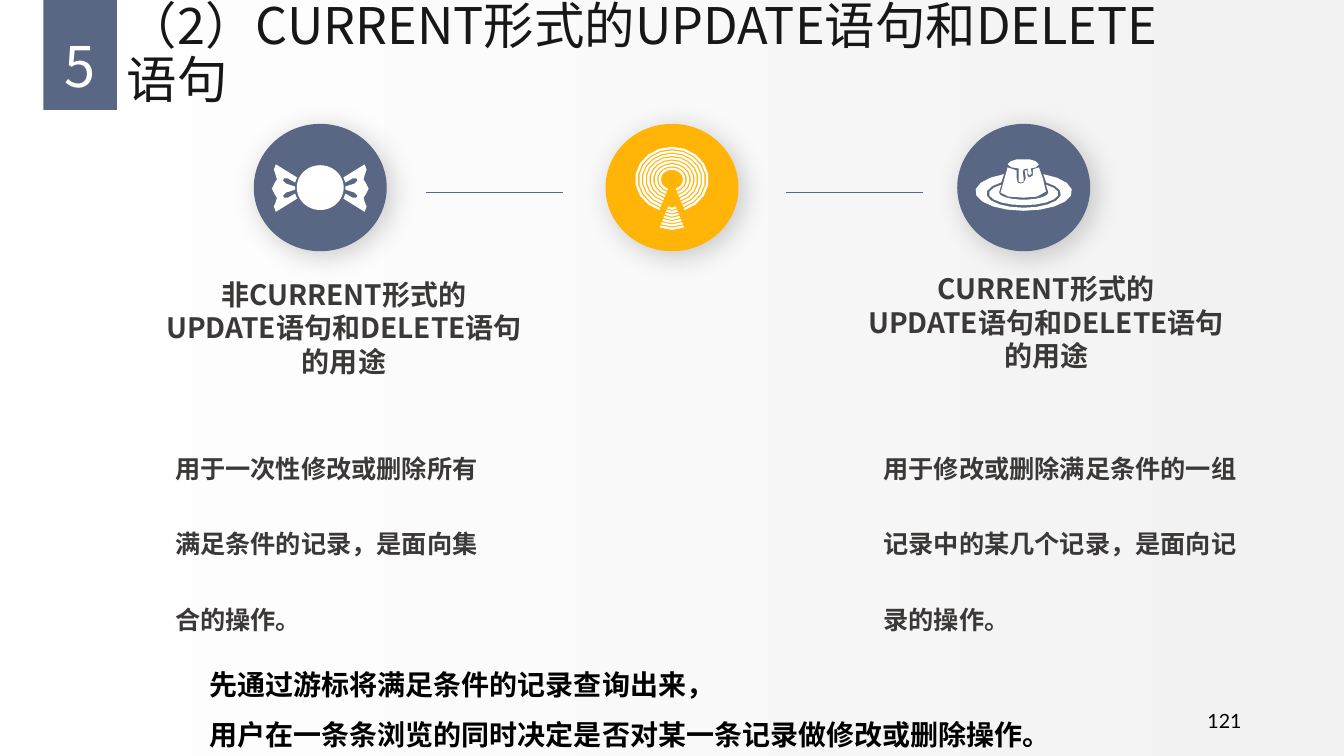
from dataclasses import dataclass
from math import cos, radians, sin

from lxml import etree
from pptx import Presentation
from pptx.dml.color import RGBColor
from pptx.enum.shapes import MSO_CONNECTOR, MSO_SHAPE
from pptx.enum.text import MSO_ANCHOR, MSO_AUTO_SIZE, PP_ALIGN
from pptx.oxml import parse_xml
from pptx.oxml.ns import nsdecls, qn
from pptx.util import Pt

LEFT, CENTER, RIGHT = PP_ALIGN.LEFT, PP_ALIGN.CENTER, PP_ALIGN.RIGHT
TOP, MIDDLE = MSO_ANCHOR.TOP, MSO_ANCHOR.MIDDLE
OVAL, RECTANGLE = MSO_SHAPE.OVAL, MSO_SHAPE.RECTANGLE
STRAIGHT, NO_FIT = MSO_CONNECTOR.STRAIGHT, MSO_AUTO_SIZE.NONE


@dataclass(frozen=True)
class Theme:
    white: RGBColor = RGBColor(0xFF, 0xFF, 0xFF)
    mist: RGBColor = RGBColor(0xF2, 0xF2, 0xF2)
    slate: RGBColor = RGBColor(0x59, 0x67, 0x84)
    amber: RGBColor = RGBColor(0xFF, 0xB4, 0x07)
    ink: RGBColor = RGBColor(0x18, 0x17, 0x17)
    gray: RGBColor = RGBColor(0x3B, 0x38, 0x38)
    black: RGBColor = RGBColor(0, 0, 0)
    cjk: str = "Noto Sans CJK SC"
    latin: str = "Lato"
    chapter: int = 40
    title: int = 36
    heading: int = 20
    body: int = 18
    number: int = 14


theme = Theme()


def write(box, lines, size, color, font=theme.cjk, bold=False, align=LEFT, spacing=1.0, anchor=TOP):
    frame = box.text_frame
    frame.word_wrap = True
    frame.auto_size = NO_FIT
    frame.vertical_anchor = anchor
    frame.text = "\n".join(lines)
    for para in frame.paragraphs:
        para.alignment = align
        para.line_spacing = spacing
        para.space_before = Pt(0)
        para.font.size = Pt(size)
        para.font.bold = bold
        para.font.color.rgb = color
        para.font.name = font
        east_asian = etree.SubElement(para._p.pPr.find(qn("a:defRPr")), qn("a:ea"))
        east_asian.set("typeface", theme.cjk)


def draw_outline(center_x, points):
    spots = [(Pt(center_x + x * ICON_UNIT), Pt(ICON_Y + y * ICON_UNIT)) for x, y in points]
    builder = page.shapes.build_freeform(*spots[0])
    builder.add_line_segments(spots[1:], close=True)
    shape = builder.convert_to_shape()
    shape.shadow.inherit = False
    shape.fill.solid()
    shape.fill.fore_color.rgb = theme.white
    shape.line.fill.background()


deck = Presentation()
deck.slide_width, deck.slide_height = Pt(960), Pt(540)
page = deck.slides.add_slide(deck.slide_layouts[5])

background = page.background.fill
background.gradient()
background.gradient_angle = 0
for stop, color in zip(background.gradient_stops, (theme.white, theme.mist)):
    stop.color.rgb = color

chapter_tab = page.shapes.add_shape(RECTANGLE, Pt(31), Pt(0), Pt(52.5), Pt(78.5))
chapter_tab.shadow.inherit = False
chapter_tab.fill.solid()
chapter_tab.fill.fore_color.rgb = theme.slate
chapter_tab.line.fill.background()

chapter = page.shapes.add_textbox(Pt(31), Pt(8), Pt(52.5), Pt(57))
write(chapter, ["5"], theme.chapter, theme.white, align=CENTER, spacing=1.3)
frame = chapter.text_frame
frame.margin_left = frame.margin_right = frame.margin_top = frame.margin_bottom = Pt(0)

title = page.shapes.title
title.left, title.top, title.width, title.height = Pt(83.5), Pt(0), Pt(772.5), Pt(79)
write(title, ["（2）CURRENT形式的UPDATE语句和DELETE语句"], theme.title, theme.ink,
      spacing=0.9, anchor=MIDDLE)

page_number = page.shapes.add_textbox(Pt(678), Pt(500.5), Pt(216), Pt(29))
write(page_number, ["121"], theme.number, theme.black, font=theme.latin, align=RIGHT, anchor=MIDDLE)

summary = page.shapes.add_textbox(Pt(142.5), Pt(455), Pt(674.5), Pt(91))
write(summary, ["先通过游标将满足条件的记录查询出来，",
                "用户在一条条浏览的同时决定是否对某一条记录做修改或删除操作。"],
      theme.heading, theme.black, font=theme.latin, bold=True, spacing=1.5, anchor=MIDDLE)

columns = [
    ((101, 194.5, 289.5), "非CURRENT形式的", (118, 235.5),
     "用于一次性修改或删除所有满足条件的记录，是面向集合的操作。"),
    ((592.5, 190.5, 309.5), "CURRENT形式的", (624, 283),
     "用于修改或删除满足条件的一组记录中的某几个记录，是面向记录的操作。"),
]
for (left, top, width), kind, (use_left, use_width), use in columns:
    heading = page.shapes.add_textbox(Pt(left), Pt(top), Pt(width), Pt(80))
    write(heading, [kind, "UPDATE语句和DELETE语句", "的用途"], theme.heading, theme.gray,
          bold=True, align=CENTER)
    usage = page.shapes.add_textbox(Pt(use_left), Pt(287.5), Pt(use_width), Pt(162))
    write(usage, [use], theme.body, theme.gray, bold=True, spacing=2.5)

ICON_Y, ICON_UNIT = 134, 0.72
CANDY_X, ANTENNA_X, PUDDING_X = 228.75, 480, 731.25

for center_x, width, height, color in [
    (CANDY_X, 95, 91, theme.slate),
    (ANTENNA_X, 95, 91, theme.amber),
    (PUDDING_X, 95, 91, theme.slate),
    (CANDY_X, 33.5, 32, theme.white),
]:
    disc = page.shapes.add_shape(OVAL, Pt(center_x - width / 2), Pt(ICON_Y - height / 2),
                                 Pt(width), Pt(height))
    disc.shadow.inherit = False
    disc.fill.solid()
    disc.fill.fore_color.rgb = color
    disc.line.fill.background()
    if color != theme.white:
        effects = disc._element.spPr.find(qn("a:effectLst"))
        effects.append(parse_xml(
            f'<a:outerShdw {nsdecls("a")} blurRad="{Pt(20)}" dist="{Pt(5)}" dir="2700000" '
            'algn="tl" rotWithShape="0"><a:srgbClr val="000000"><a:alpha val="20000"/>'
            '</a:srgbClr></a:outerShdw>'))

candy_wing = [
    (48, 1), (45, -5), (43, -8), (44, -12), (46, -18), (44, -23), (23, -10), (25, -5), (32, -9),
    (36, -9), (37, -7), (34, -4), (25, -1), (25, 2), (34, 5), (37, 8), (36, 10), (32, 10),
    (25, 6), (23, 11), (44, 24), (46, 19), (44, 14), (43, 10), (45, 7)]
for side in (-1, 1):
    draw_outline(CANDY_X, [(side * x, y) for x, y in candy_wing])

bands = [
    (PUDDING_X, (4, 48, 19, -66, 246), (6, 37, 14, -53, 233)),
    (PUDDING_X, (6, 34.5, 11.5, -50, 230), (5, 24.5, 7, 0, 180)),
]
for ring in range(7):
    for wide, tall, start, end in [
        (36.5 - 3.85 * ring, 32.4 - 3.43 * ring, -250, 70),
        (39 - 4 * ring, 50 - 3.3 * ring, 72, 108),
    ]:
        bands.append((ANTENNA_X, (-8, wide, tall, start, end),
                      (-8, wide - 2.4, tall - 2.2, start, end)))
for center_x, outer, inner in bands:
    edges = []
    for middle, wide, tall, start, end in (outer, inner):
        steps = round((end - start) / 20)
        angles = [radians(start + (end - start) * step / steps) for step in range(steps + 1)]
        edges.append([(wide * cos(angle), middle + tall * sin(angle)) for angle in angles])
    draw_outline(center_x, edges[0] + edges[1][::-1])

pudding_body = [
    (-23, 5), (-15, 9), (0, 10), (13, 9), (22, 4), (19, -9), (15, -20), (9, -18), (9, -12),
    (6, -10), (4, -11), (3, -17), (1, -17), (2, -9), (0, -5), (-3, -4), (-6, -5), (-7, -9),
    (-7, -17), (-16, -20)]
pudding_sauce = [
    (15, -23), (12, -26), (6, -28), (0, -28), (-7, -28), (-13, -26), (-16, -23), (-12, -20),
    (-5, -19), (-5, -9), (-5, -6), (-3, -5), (0, -6), (0, -9), (-1, -16), (0, -18), (4, -19),
    (4, -14), (6, -12), (8, -14), (7, -19), (12, -20)]
for points in (pudding_body, pudding_sauce):
    draw_outline(PUDDING_X, points)

for left in (304.5, 561.5):
    divider = page.shapes.add_connector(STRAIGHT, Pt(left), Pt(137.5), Pt(left + 98), Pt(137.5))
    divider.line.color.rgb = theme.slate
    divider.line.width = Pt(0.5)
    etree.SubElement(divider._element.spPr, qn("a:effectLst"))

deck.save("out.pptx")
